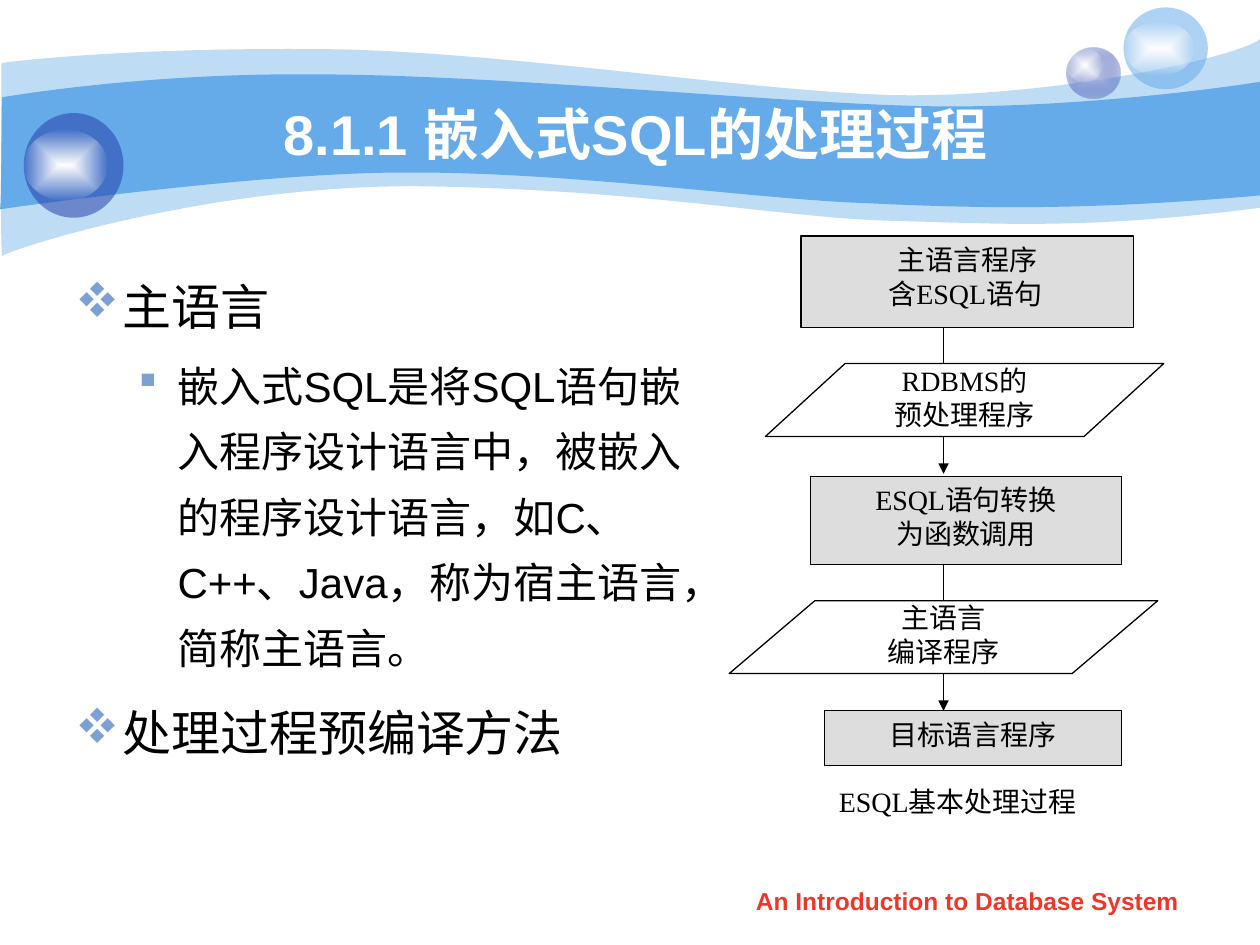
from pptx import Presentation, util as u
from pptx.dml.color import RGBColor
from pptx.enum import shapes as kinds, text as t
from pptx.oxml import parse_xml
from pptx.oxml.ns import nsdecls, qn

SKY = RGBColor(0x65, 0xAA, 0xE9)
NAVY = RGBColor(0x23, 0x3D, 0xA9)
LILAC = RGBColor(0xC7, 0xCE, 0xE9)
WHITE = RGBColor(0xFF, 0xFF, 0xFF)
BLACK = RGBColor(0, 0, 0)
GREY = RGBColor(0xDD, 0xDD, 0xDD)
RED = RGBColor(0xF0, 0x36, 0x28)
BULLET = RGBColor(0x7D, 0xA0, 0xD3)
OVAL = kinds.MSO_SHAPE.OVAL
PROCESS = kinds.MSO_SHAPE.FLOWCHART_PROCESS
DATA = kinds.MSO_SHAPE.FLOWCHART_DATA


def paint(shape, *stops):
    """Fill with (colour, opacity %) stops: one is plain, two a rectangular gradient."""
    shape.shadow.inherit = False
    shape.line.fill.background()
    shape.fill.solid()
    plain = shape._element.spPr.find(qn("a:solidFill"))
    colours = [f'<a:srgbClr val="{colour}"><a:alpha val="{opacity * 1000}"/></a:srgbClr>'
               for colour, opacity in stops]
    if len(stops) == 1:
        xml = f'<a:solidFill {nsdecls("a")}>{colours[0]}</a:solidFill>'
    else:
        xml = (f'<a:gradFill {nsdecls("a")}><a:gsLst><a:gs pos="0">{colours[0]}</a:gs>'
               f'<a:gs pos="100000">{colours[1]}</a:gs></a:gsLst><a:path path="rect">'
               '<a:fillToRect l="50000" t="50000" r="50000" b="50000"/></a:path></a:gradFill>')
    plain.getparent().replace(plain, parse_xml(xml))


def write(box, text, size=16, font="Times New Roman", colour=BLACK, bold=False,
          align=t.PP_ALIGN.CENTER, anchor=t.MSO_ANCHOR.TOP, inset=(0.25, 0.13),
          bullet=None, indent=None, spacing=None, before=0):
    """Add one paragraph to a box, using its empty first paragraph if there is one."""
    frame = box.text_frame
    frame.word_wrap = True
    frame.vertical_anchor = anchor
    frame.margin_left = frame.margin_right = u.Cm(inset[0])
    frame.margin_top = frame.margin_bottom = u.Cm(inset[1])
    para = frame.paragraphs[0] if not frame.text else frame.add_paragraph()
    para.alignment = align
    props = para._p.get_or_add_pPr()
    if indent:
        props.set("marL", str(u.Cm(indent[0])))
        props.set("indent", str(u.Cm(indent[1])))
    if bullet:
        for xml in (f'<a:buClr {nsdecls("a")}><a:srgbClr val="{BULLET}"/></a:buClr>',
                    f'<a:buFont {nsdecls("a")} typeface="Wingdings" charset="2"/>',
                    f'<a:buChar {nsdecls("a")} char="{bullet}"/>'):
            props.append(parse_xml(xml))
    if spacing:
        para.line_spacing = spacing
    if before:
        para.space_before = u.Pt(before)
    span = para.add_run()
    span.text = text
    span.font.size = u.Pt(size)
    span.font.name = font
    span.font.bold = bold
    span.font.color.rgb = colour


deck = Presentation()
deck.slide_width, deck.slide_height = u.Cm(25.4), u.Cm(19.05)
page = deck.slides.add_slide(deck.slide_layouts[6])

# Header waves: Bezier points of the upper edge, then of the lower edge
waves = [
    (41,
     [(0.03, 1.27), (0.64, 1.19), (2.74, 0.97), (6.27, 0.99), (9.8, 0.99),
      (14.63, 1.78), (17.75, 1.91), (20.88, 2.03), (24.89, 1.19), (25.4, 0.79)],
     [(25.4, 4.19), (21.79, 4.65), (20.02, 4.5), (17.91, 4.45), (15.8, 4.39),
      (13.08, 3.84), (8.74, 3.76), (4.37, 3.66), (0.13, 5.05), (0.05, 5.16),
      (0, 5.28), (0.03, 1.91), (0.03, 1.27)]),
    (100,
     [(0.05, 1.96), (0.08, 1.96), (2.82, 1.47), (6.32, 1.5), (9.83, 1.5),
      (15.14, 2.03), (18.24, 2.13), (21.36, 2.24), (24.79, 1.75), (25.4, 1.65)],
     [(25.4, 3.94), (21.67, 4.27), (19.46, 4.19), (17.32, 4.09), (15.21, 4.01),
      (11.38, 3.45), (8.08, 3.48), (5.18, 3.48), (-0.03, 4.22), (0, 4.22),
      (0.03, 4.22), (0.03, 1.96), (0.05, 1.96)]),
]
for opacity, upper, lower in waves:
    points = [(u.Cm(x), u.Cm(y)) for x, y in upper + lower]
    builder = page.shapes.build_freeform(*points[0], scale=1.0)
    builder.add_line_segments(points[1:], close=True)
    wave = builder.convert_to_shape()
    # Turn every three segments of an edge into one Bezier curve
    segments = list(wave._element.iter(qn("a:lnTo")))
    corner = len(upper) - 1
    for edge in (segments[:corner], segments[corner + 1:]):
        for start in range(0, len(edge), 3):
            curve = parse_xml(f'<a:cubicBezTo {nsdecls("a")}/>')
            edge[start].addprevious(curve)
            for segment in edge[start:start + 3]:
                curve.append(segment[0])
                segment.getparent().remove(segment)
    paint(wave, (SKY, opacity))

# Glass balls, each with a highlight
shine = [(WHITE, 100), (WHITE, 0)]
balls = [
    ((21.51, 0.97, 1.07, 1.02), [(LILAC, 100), (NAVY, 31)]),
    ((21.51, 0.97, 0.71, 0.69), shine),
    ((22.65, 0.15, 1.7, 1.65), [(SKY, 53)]),
    ((22.65, 0.43, 1.42, 1.09), shine),
    ((0.48, 2.28, 2.01, 2.11), [(NAVY, 53)]),
    ((0.48, 2.62, 1.68, 1.42), shine),
]
for place, stops in balls:
    paint(page.shapes.add_shape(OVAL, *map(u.Cm, place)), *stops)

# Footer and title
footer = page.shapes.add_textbox(*map(u.Cm, (14.5, 17.73, 10.01, 0.89)))
write(footer, "An Introduction to Database System", size=14, font="Arial", colour=RED, bold=True)
title = page.shapes.add_textbox(*map(u.Cm, (2.55, 1.9, 20.52, 1.57)))
write(title, "8.1.1 嵌入式SQL的处理过程", size=32, font="Arial", colour=WHITE, bold=True,
      anchor=t.MSO_ANCHOR.MIDDLE)

# Bulleted text (Wingdings v is a diamond, § a small square)
body = page.shapes.add_textbox(*map(u.Cm, (1.27, 5.08, 12.73, 12.5)))
topic = dict(size=28, bullet="v", indent=(0.95, -0.95))
detail = dict(size=24, bullet="§", indent=(2.06, -0.79))
for text, before, style in [
    ("主语言", 0, topic),
    ("嵌入式SQL是将SQL语句嵌入程序设计语言中，被嵌入的程序设计语言，"
     "如C、C++、Java，称为宿主语言，简称主语言。", 6, detail),
    ("处理过程预编译方法", 7, topic),
]:
    write(body, text, font="Arial", align=t.PP_ALIGN.LEFT, spacing=1.3, before=before, **style)

# Flow arrows, partly covered by the steps
for top, bottom in [(11.02, 14.33), (6.22, 9.55)]:
    arrow = page.shapes.add_connector(kinds.MSO_CONNECTOR.STRAIGHT, u.Cm(19.02), u.Cm(top),
                                      u.Cm(19.02), u.Cm(bottom))
    arrow.line.color.rgb = BLACK
    arrow.line.width = u.Pt(0.75)
    arrow.line._get_or_add_ln().append(parse_xml(f'<a:tailEnd {nsdecls("a")} type="triangle"/>'))
    arrow._element.spPr.append(parse_xml(f'<a:effectLst {nsdecls("a")}/>'))

# Flow steps
offset = dict(align=t.PP_ALIGN.LEFT, indent=(1.51, 0))
steps = [
    (PROCESS, (16.15, 4.76, 6.7, 1.84), [("主语言程序", {}), ("含ESQL语句", offset)]),
    (DATA, (15.43, 7.33, 8.03, 1.47), [("RDBMS的", {}), ("预处理程序", {})]),
    (PROCESS, (16.34, 9.6, 6.27, 1.78), [("ESQL语句转换", {}), ("为函数调用", {})]),
    (DATA, (14.7, 12.11, 8.64, 1.47), [("主语言", {}), ("编译程序", {})]),
    (PROCESS, (16.62, 14.33, 5.99, 1.1), [("目标语言程序", {})]),
]
for kind, place, lines in steps:
    step = page.shapes.add_shape(kind, *map(u.Cm, place))
    paint(step, (GREY if kind == PROCESS else WHITE, 100))
    step.line.color.rgb = BLACK
    step.line.width = u.Pt(0.75)
    for line, style in lines:
        write(step, line, inset=(0.25, 0.13) if kind == PROCESS else (0.1, 0), **style)

# Caption
caption = page.shapes.add_shape(kinds.MSO_SHAPE.RECTANGLE, *map(u.Cm, (14.63, 15.81, 9.35, 0.71)))
paint(caption, (WHITE, 100))
write(caption, "ESQL基本处理过程", inset=(0.1, 0))

deck.save("out.pptx")
